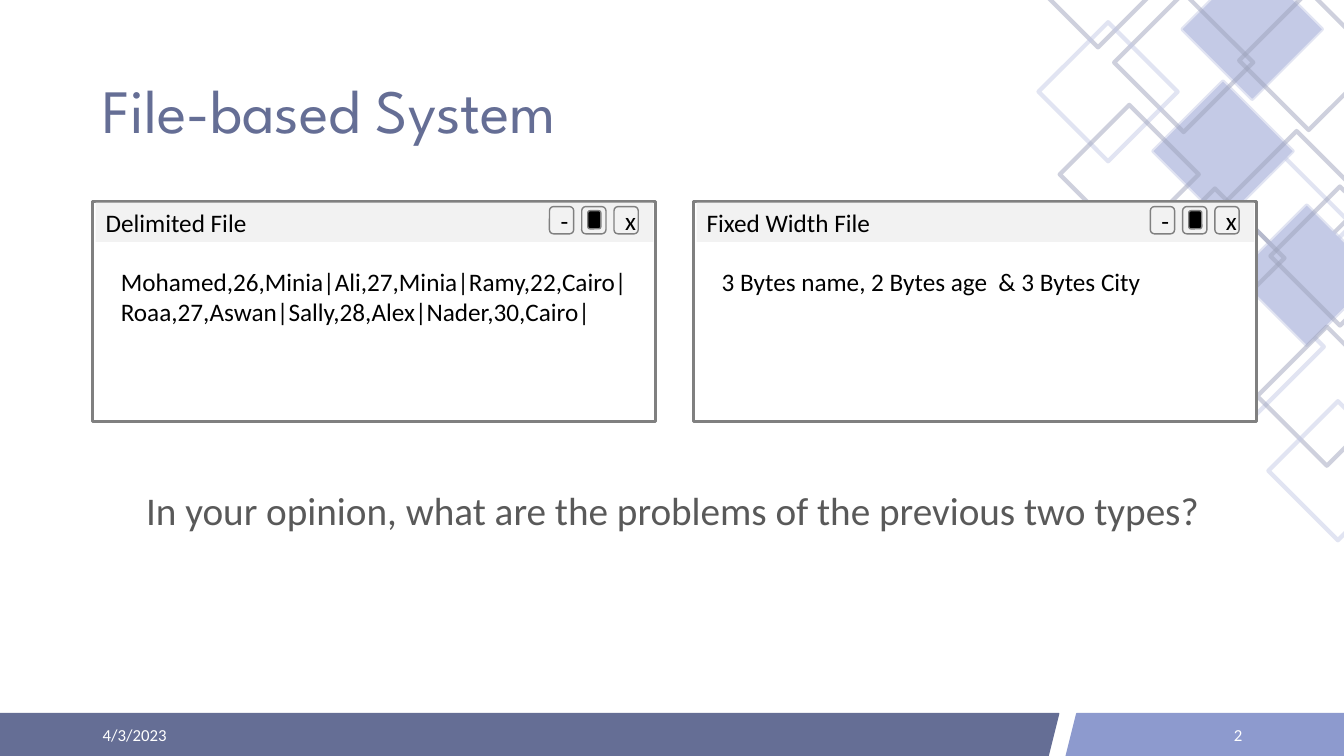
"""Build the slide that compares delimited and fixed width files."""
from dataclasses import dataclass
from typing import Optional

from pptx import Presentation
from pptx import util as u
from pptx.dml import color as c
from pptx.enum import shapes as s
from pptx.enum import text as t
from pptx.oxml import ns
from pptx.shapes.autoshape import Shape
from pptx.slide import Slide
from lxml import etree

SLATE, PERIWINKLE, LAVENDER, MIST = "656E95", "8D9ACE", "C4CAE6", "9EA3BC"
GRAY, PALE, WHITE, BLACK, CHARCOAL = "808080", "F2F2F2", "FFFFFF", "000000", "595959"
KIND = s.MSO_SHAPE
LEFT, CENTER, RIGHT = t.PP_ALIGN.LEFT, t.PP_ALIGN.CENTER, t.PP_ALIGN.RIGHT
TOP, MIDDLE = t.MSO_ANCHOR.TOP, t.MSO_ANCHOR.MIDDLE
DIAMOND_SIDE = 1.38


@dataclass(frozen=True)
class Area:
    left: float
    top: float
    width: float
    height: float

    def lengths(self) -> list[u.Length]:
        return [u.Inches(n) for n in (self.left, self.top, self.width, self.height)]


@dataclass(frozen=True)
class Style:
    size: float = 18
    color: str = BLACK
    font: str = "Calibri"
    align: t.PP_ALIGN = LEFT
    anchor: t.MSO_ANCHOR = MIDDLE
    spacing: float = 1.0


@dataclass(frozen=True)
class Diamond:
    left: float
    top: float
    line: str
    fill: Optional[str] = None


@dataclass(frozen=True)
class Window:
    left: float
    title: str
    content: str
    content_height: float


DIAMONDS = [
    Diamond(11.73, -0.4, LAVENDER, LAVENDER),
    Diamond(12.29, -0.09, MIST),
    Diamond(11.44, 0.81, LAVENDER, LAVENDER),
    Diamond(11.05, -0.07, MIST),
    Diamond(12.17, 1.3, MIST),
    Diamond(12.27, 2.04, LAVENDER, LAVENDER),
    Diamond(10.2, -0.91, MIST),
    Diamond(10.3, 0.22, LAVENDER),
    Diamond(12.03, 1.54, LAVENDER),
    Diamond(12.6, 1.85, MIST),
    Diamond(11.75, 2.75, LAVENDER),
    Diamond(11.36, 1.87, MIST),
    Diamond(12.47, 3.24, MIST),
    Diamond(12.58, 3.98, LAVENDER),
    Diamond(10.51, 1.04, MIST),
]

WINDOWS = [
    Window(0.92, "Delimited File",
           "Mohamed,26,Minia|Ali,27,Minia|Ramy,22,Cairo|"
           "Roaa,27,Aswan|Sally,28,Alex|Nader,30,Cairo|", 0.71),
    Window(6.88, "Fixed Width File", "3 Bytes name, 2 Bytes age  & 3 Bytes City", 0.4),
]


def rgb(value: str) -> c.RGBColor:
    return c.RGBColor.from_string(value)


def write(box: Shape, words: str, style: Style) -> None:
    frame = box.text_frame
    frame.text = words
    frame.word_wrap = True
    frame.vertical_anchor = style.anchor
    para = frame.paragraphs[0]
    para.alignment = style.align
    para.line_spacing = style.spacing
    for span in para.runs:
        span.font.name = style.font
        span.font.size = u.Pt(style.size)
        span.font.color.rgb = rgb(style.color)


def add_text(page: Slide, area: Area, words: str, style: Style) -> Shape:
    box = page.shapes.add_textbox(*area.lengths())
    write(box, words, style)
    return box


def add_shape(page: Slide, kind: s.MSO_SHAPE, area: Area, fill: Optional[str] = None,
              line: Optional[str] = None, weight: float = 1) -> Shape:
    shape = page.shapes.add_shape(kind, *area.lengths())
    shape.shadow.inherit = False
    if fill:
        shape.fill.solid()
        shape.fill.fore_color.rgb = rgb(fill)
    else:
        shape.fill.background()
    if line:
        shape.line.color.rgb = rgb(line)
        shape.line.width = u.Pt(weight)
    else:
        shape.line.fill.background()
    return shape


def add_diamond(page: Slide, diamond: Diamond) -> None:
    area = Area(diamond.left, diamond.top, DIAMOND_SIDE, DIAMOND_SIDE)
    shape = add_shape(page, KIND.DIAMOND, area, diamond.fill, diamond.line, 3)
    line_color = shape.line._ln.find(".//" + ns.qn("a:srgbClr"))
    etree.SubElement(line_color, ns.qn("a:alpha"), val="50000")


def add_window(page: Slide, window: Window) -> None:
    left = window.left
    add_shape(page, KIND.RECTANGLE, Area(left, 2, 5.58, 2.18), WHITE, GRAY, 2.25)
    title_bar = add_shape(page, KIND.RECTANGLE, Area(left + 0.03, 2.01, 5.53, 0.39), PALE)
    write(title_bar, window.title, Style())
    for index, symbol in enumerate(["-", "", "x"]):
        area = Area(left + 4.53 + 0.32 * index, 2.05, 0.24, 0.27)
        button = add_shape(page, KIND.ROUNDED_RECTANGLE, area, line=GRAY)
        if symbol:
            write(button, symbol, Style(align=CENTER))
    add_shape(page, KIND.ROUNDED_RECTANGLE, Area(left + 4.91, 2.09, 0.13, 0.18), BLACK, GRAY)
    content_area = Area(left + 0.18, 2.59, 5.23, window.content_height)
    content = add_text(page, content_area, window.content, Style(anchor=TOP))
    content.text_frame.auto_size = t.MSO_AUTO_SIZE.SHAPE_TO_FIT_TEXT


def main() -> None:
    deck = Presentation()
    deck.slide_width, deck.slide_height = u.Inches(13.33), u.Inches(7.5)
    page = deck.slides.add_slide(deck.slide_layouts[6])
    for left, width, fill in [(-0.48, 10.98, SLATE), (10.57, 2.94, PERIWINKLE)]:
        add_shape(page, KIND.PARALLELOGRAM, Area(left, 7.08, width, 0.44), fill, fill)
    for diamond in DIAMONDS:
        add_diamond(page, diamond)
    add_text(page, Area(0.92, 0.4, 11.5, 1.45), "File-based System",
             Style(44, SLATE, "League Spartan", spacing=0.9))
    add_text(page, Area(0.92, 4.82, 11.5, 0.53),
             "In your opinion, what are the problems of the previous two types?",
             Style(28, CHARCOAL, align=CENTER, spacing=0.9))
    for left, words, align in [(0.92, "4/3/2023", LEFT), (9.42, "2", RIGHT)]:
        add_text(page, Area(left, 7.09, 3, 0.4), words, Style(12, WHITE, align=align))
    for window in WINDOWS:
        add_window(page, window)
    deck.save("out.pptx")


if __name__ == "__main__":
    main()
